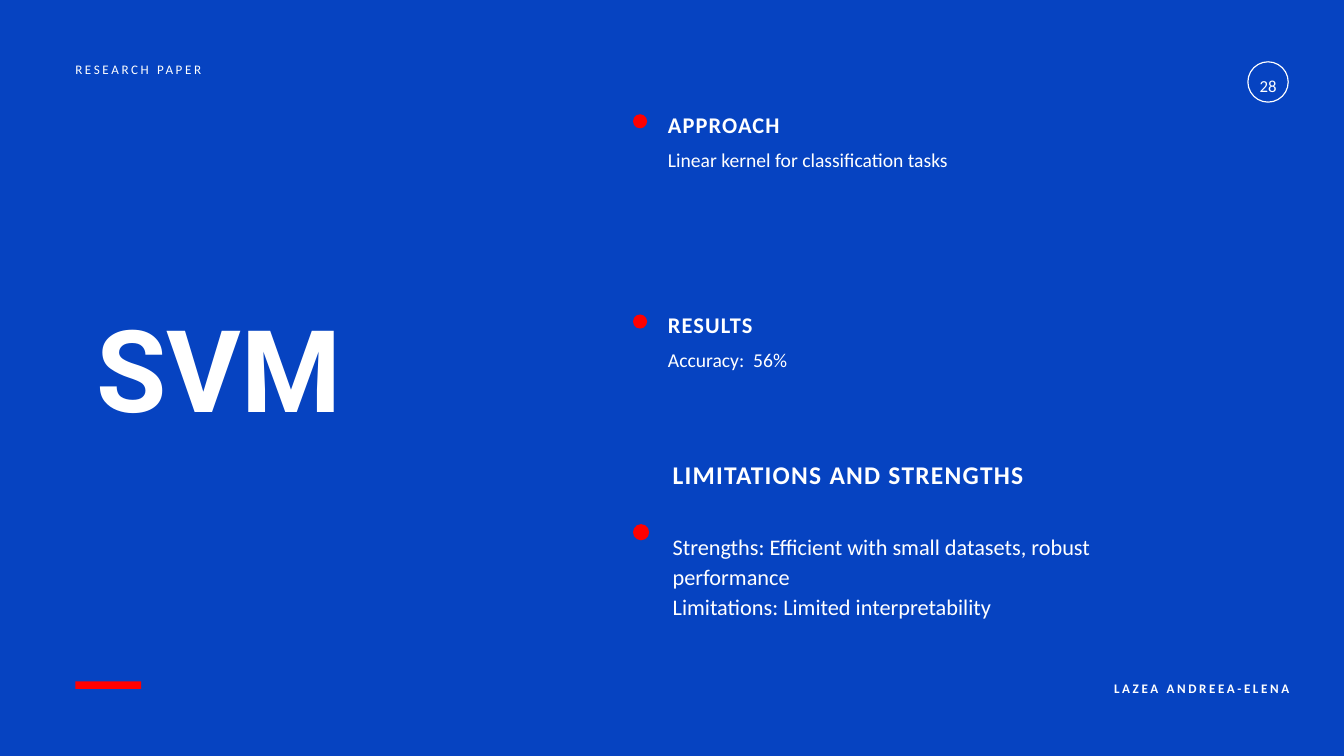
from pptx import Presentation
from pptx.dml.color import RGBColor
from pptx.enum import shapes, text
from pptx.util import Inches, Pt

BLUE = RGBColor(0x06, 0x43, 0xC1)
RED = RGBColor(0xFF, 0, 0)
WHITE = RGBColor(0xFF, 0xFF, 0xFF)

# Content
TITLE = "SVM"
PAPER, AUTHOR, PAGE = "RESEARCH PAPER", "LAZEA ANDREEA-ELENA", "28"
SECTIONS = [
    ("APPROACH", ["Linear kernel for classification tasks"]),
    ("RESULTS", ["Accuracy:  56%"]),
]
LAST_SECTION = ("LIMITATIONS AND STRENGTHS", [
    "Strengths: Efficient with small datasets, robust performance",
    "Limitations: Limited interpretability",
])

# Text styles: size, line spacing and letter spacing in points
STYLES = {
    "title": dict(size=122.4, line=134.6, name="Roboto", bold=True),
    "heading": dict(size=24, line=33.6, bold=True, spacing=1.2),
    "body": dict(size=21, line=28.4),
    "last heading": dict(size=27.3, line=38.2, bold=True, spacing=1.4),
    "last body": dict(size=23.9, line=32.2),
    "page": dict(size=18, line=25.3, align=text.PP_ALIGN.CENTER),
    "paper": dict(size=14, line=19.6, spacing=2.8),
    "author": dict(size=14, line=19.6, spacing=2.8, bold=True,
                   align=text.PP_ALIGN.RIGHT),
}

# Layout in inches
DOT_LEFT, TEXT_LEFT = 9.42, 9.94
FIRST_TOP, SECTION_STEP = 1.59, 2.98
BODY_DROP, DOT_DROP = 0.57, 0.11


def write(box, lines, size, line, name="Calibri", bold=False, spacing=0,
          align=text.PP_ALIGN.LEFT):
    frame = box.text_frame
    settings = dict(word_wrap=True, auto_size=text.MSO_AUTO_SIZE.NONE,
                    vertical_anchor=text.MSO_ANCHOR.TOP, margin_left=0,
                    margin_top=0, margin_right=0, margin_bottom=0)
    for key, value in settings.items():
        setattr(frame, key, value)
    for i, words in enumerate(lines):
        paragraph = frame.add_paragraph() if i else frame.paragraphs[0]
        paragraph.alignment = align
        paragraph.line_spacing = Pt(line)
        paragraph.space_before = Pt(0)
        run = paragraph.add_run()
        run.text = words
        for key, value in dict(name=name, size=Pt(size), bold=bold).items():
            setattr(run.font, key, value)
        run.font.color.rgb = WHITE
        if spacing:
            run.font._element.set("spc", str(round(spacing * 100)))


def add_text(slide, lines, style, *place):
    write(slide.shapes.add_textbox(*map(Inches, place)), lines, **STYLES[style])


def add_mark(slide, kind, *place):
    mark = slide.shapes.add_shape(kind, *map(Inches, place))
    mark.shadow.inherit = False
    mark.fill.solid()
    mark.fill.fore_color.rgb = RED
    mark.line.fill.background()
    return mark


def main():
    deck = Presentation()
    deck.slide_width, deck.slide_height = Inches(20), Inches(11.25)
    slide = deck.slides.add_slide(deck.slide_layouts[5])
    slide.background.fill.solid()
    slide.background.fill.fore_color.rgb = BLUE
    rectangle, oval = shapes.MSO_SHAPE.RECTANGLE, shapes.MSO_SHAPE.OVAL

    # Title and accent bar
    title = slide.shapes.title
    for key, value in dict(left=1.44, top=4.61, width=11.53, height=2.03).items():
        setattr(title, key, Inches(value))
    write(title, [TITLE], **STYLES["title"])
    add_mark(slide, rectangle, 1.12, 10.14, 0.98, 0.11)

    # Evenly spaced sections
    for i, (heading, body) in enumerate(SECTIONS):
        top = FIRST_TOP + i * SECTION_STEP
        add_text(slide, body, "body", TEXT_LEFT, top + BODY_DROP, 6.57, 0.4)
        add_text(slide, [heading], "heading", TEXT_LEFT, top, 4.7, 0.43)
        add_mark(slide, oval, DOT_LEFT, top + DOT_DROP, 0.21, 0.21)

    # Last section, larger, with its dot beside the body
    heading, body = LAST_SECTION
    add_text(slide, body, "last body", 10.01, 7.88, 7.46, 1.74)
    add_text(slide, [heading], "last heading", 10.01, 6.76, 5.34, 1.03)
    add_mark(slide, oval, DOT_LEFT, 7.8, 0.24, 0.24)

    # Page number in its ring
    ring = add_mark(slide, oval, 18.57, 0.92, 0.6, 0.6)
    ring.fill.background()
    ring.line.color.rgb = WHITE
    ring.line.width = Pt(1.25)
    add_text(slide, [PAGE], "page", 18.65, 1.08, 0.44, 0.32)

    # Running header and footer
    add_text(slide, [PAPER], "paper", 1.12, 0.88, 3.12, 0.26)
    add_text(slide, [AUTHOR], "author", 15.75, 10.08, 3.44, 0.26)

    deck.save("out.pptx")


if __name__ == "__main__":
    main()
